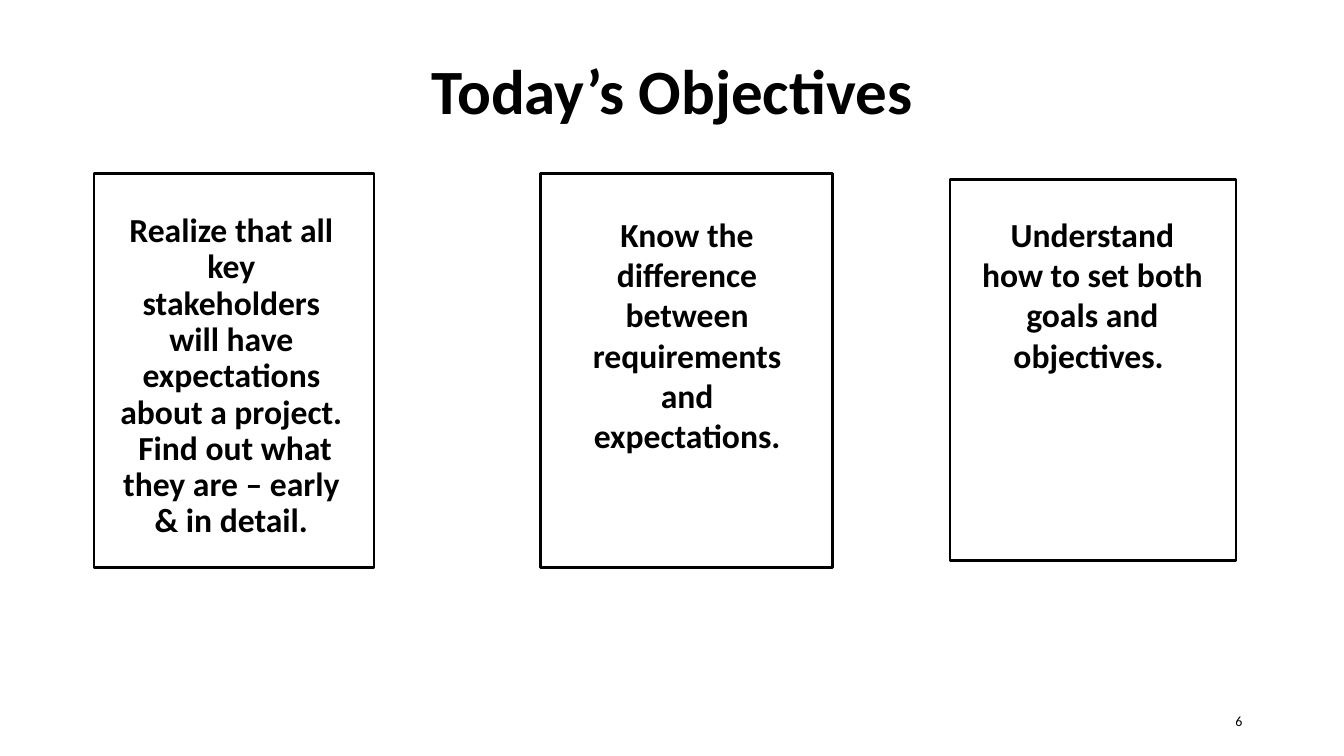
from pptx import Presentation
from pptx import util as u
from pptx.dml.color import RGBColor
from pptx.enum import shapes, text

PX = 9144  # EMU per px, 100 px to the inch
COLORS = {"ink": "000000", "paper": "FFFFFF"}
INK = RGBColor.from_string(COLORS["ink"])
PAPER = RGBColor.from_string(COLORS["paper"])

deck = Presentation()
deck.slide_width, deck.slide_height = 1333 * PX, 750 * PX
page = deck.slides.add_slide(deck.slide_layouts[6])
page.background.fill.solid()
page.background.fill.fore_color.rgb = PAPER


def add_text(bounds, words, font, align="CENTER", anchor="TOP", spacing=1.0):
    box = page.shapes.add_textbox(*(n * PX for n in bounds))
    frame = box.text_frame
    frame.word_wrap = True
    frame.vertical_anchor = text.MSO_ANCHOR[anchor]
    para = frame.paragraphs[0]
    para.alignment = text.PP_ALIGN[align]
    para.line_spacing = spacing
    span = para.add_run()
    span.text = words
    for name, value in font.items():
        setattr(span.font, name, value)
    span.font.color.rgb = INK


# Title and page number
add_text((29, 46, 1275, 100), "Today’s Objectives",
         {"name": "Calibri", "size": u.Pt(45), "bold": True})
add_text((942, 695, 300, 40), "6",
         {"name": "Calibri", "size": u.Pt(10)}, "RIGHT", "MIDDLE")

# Objective cards: frame bounds, text bounds, line spacing, words
objectives = [
    ((93, 172, 278, 391), (108, 207, 243, 339), 0.9,
     "Realize that all key stakeholders will have expectations about "
     "a project.  Find out what they are – early & in detail."),
    ((536, 172, 290, 391), (560, 207, 243, 285), 1.0,
     "Know the difference between requirements and expectations."),
    ((942, 178, 284, 378), (962, 207, 243, 263), 1.0,
     "Understand how to set both goals and objectives. "),
]
for card_bounds, text_bounds, spacing, words in objectives:
    card = page.shapes.add_shape(shapes.MSO_SHAPE.RECTANGLE,
                                 *(n * PX for n in card_bounds))
    card.shadow.inherit = False
    card.fill.background()
    card.line.color.rgb = INK
    card.line.width = u.Pt(1.75)
    add_text(text_bounds, words,
             {"name": "Calibri", "size": u.Pt(24), "bold": True},
             spacing=spacing)

deck.save("out.pptx")
